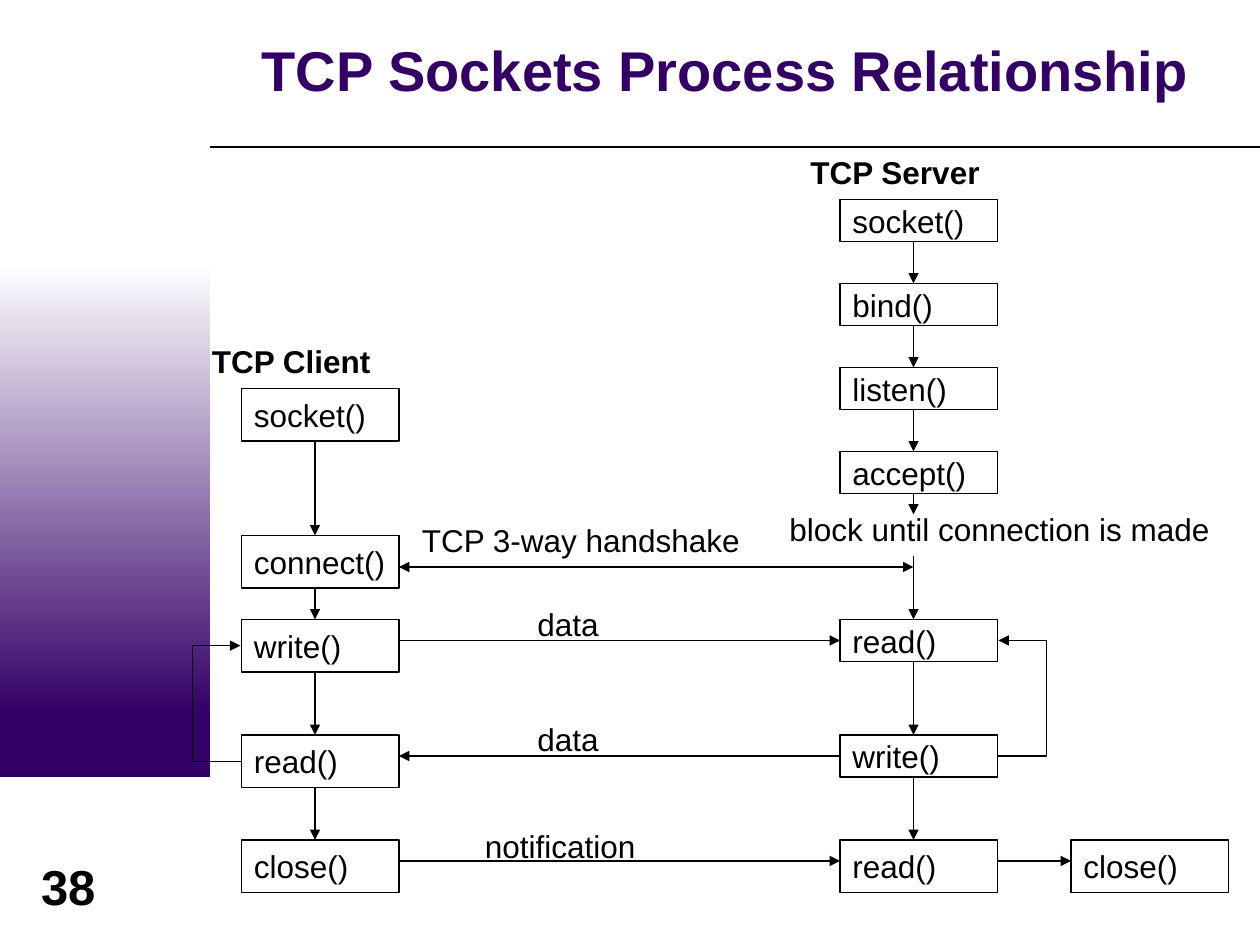
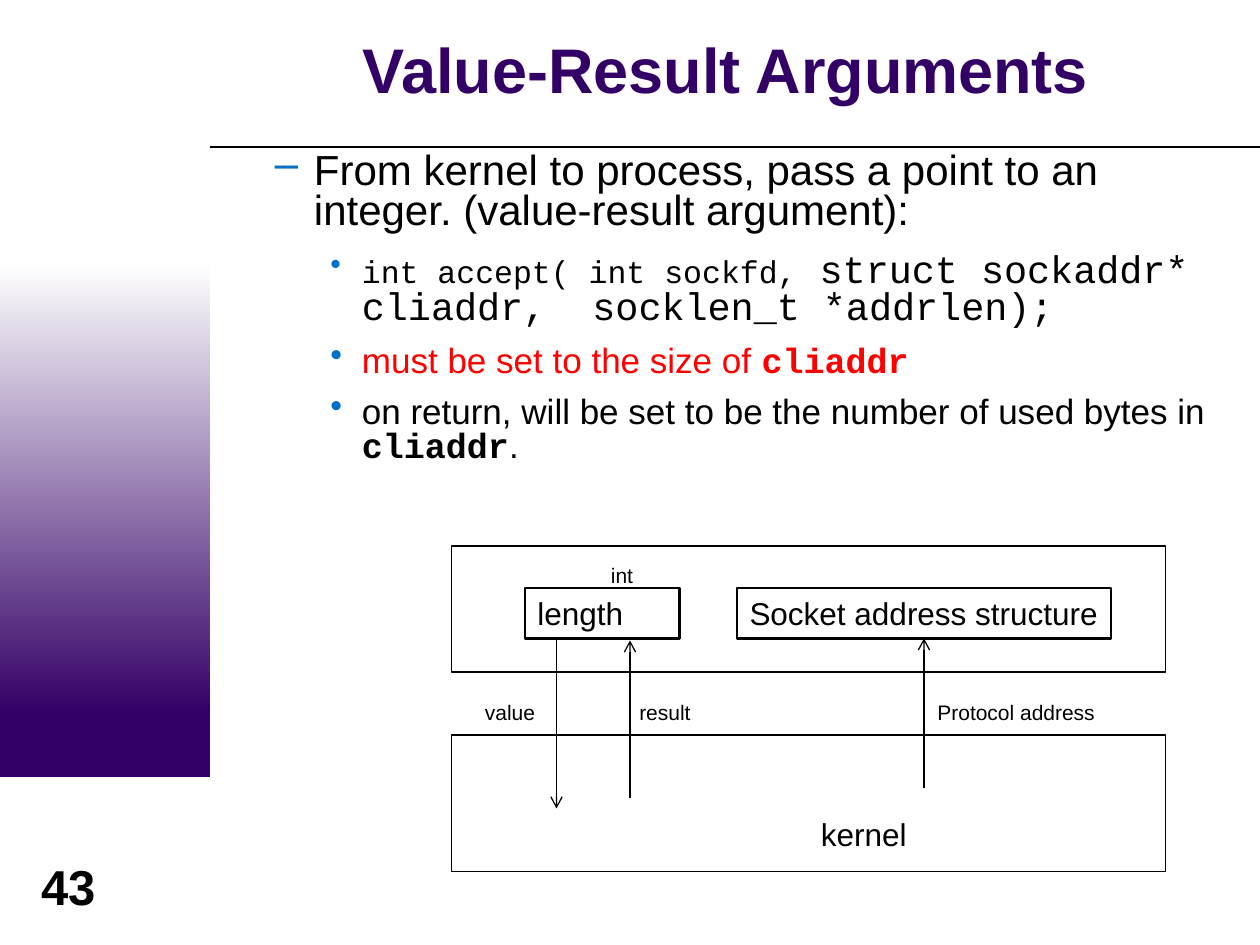
from lxml import etree
from pptx import Presentation
from pptx.dml.color import RGBColor
from pptx.enum.shapes import MSO_CONNECTOR, MSO_SHAPE
from pptx.enum.text import MSO_ANCHOR, PP_ALIGN
from pptx.oxml.ns import qn
from pptx.util import Inches, Pt

PURPLE = RGBColor(0x33, 0x00, 0x66)
BLUE = RGBColor(0x00, 0x70, 0xC8)
RED = RGBColor(0xFF, 0x00, 0x00)
BLACK = RGBColor(0x00, 0x00, 0x00)
WHITE = RGBColor(0xFF, 0xFF, 0xFF)
SANS, MONO = "Arial", "Courier New"
RECTANGLE = MSO_SHAPE.RECTANGLE
STRAIGHT, ELBOW = MSO_CONNECTOR.STRAIGHT, MSO_CONNECTOR.ELBOW
MIDDLE, TOP = MSO_ANCHOR.MIDDLE, MSO_ANCHOR.TOP
CENTER, LEFT = PP_ALIGN.CENTER, PP_ALIGN.LEFT
LEFT_SIDE, BOTTOM_SIDE = 1, 2

# The slide is a grid of 120 columns by 90 rows, twelve to the inch.
COLUMNS, ROWS = 120, 90
BAND_WIDTH = 20
TEXT_HEIGHT = 4.8
BOX_WIDTH = 15
CLIENT_LEFT, SERVER_LEFT = 23, 80
CLIENT_FLOW, SERVER_FLOW = 30, 87
LOOP_REACH = 4.7


def grid(*cells):
    return [Inches(cell / 12) for cell in cells]


def style_font(font, size, color=BLACK, bold=False, name=SANS):
    font.name, font.size, font.bold = name, Pt(size), bold
    font.color.rgb = color


def write_line(shape, text, size, bold=False, align=LEFT, anchor=TOP, wrap=False):
    frame = shape.text_frame
    frame.word_wrap, frame.vertical_anchor = wrap, anchor
    paragraph = frame.paragraphs[0]
    paragraph.text, paragraph.alignment = text, align
    style_font(paragraph.font, size, bold=bold)


def add_label(slide, text, left, top, width, size=18, height=TEXT_HEIGHT, **style):
    label = slide.shapes.add_textbox(*grid(left, top, width, height))
    write_line(label, text, size, **style)


def add_box(slide, left, top, width, height, text="", weight=0.75):
    box = slide.shapes.add_shape(RECTANGLE, *grid(left, top, width, height))
    box.shadow.inherit = False
    box.fill.background()
    box.line.color.rgb, box.line.width = BLACK, Pt(weight)
    if text:
        write_line(box, text, 18, anchor=MIDDLE)
    return box


def add_line(slide, start, end, head=None, tail=None, kind=STRAIGHT):
    """Draw a black line; head and tail name the arrowheads at start and end."""
    line = slide.shapes.add_connector(kind, *grid(*start, *end))
    line.line.color.rgb, line.line.width = BLACK, Pt(0.75)
    outline = line.line._get_or_add_ln()
    for tag, arrow in (("a:headEnd", head), ("a:tailEnd", tail)):
        if arrow:
            etree.SubElement(outline, qn(tag), type=arrow)
    etree.SubElement(line._element.spPr, qn("a:effectLst"))
    return line


def add_flow(slide, start, end, head=None):
    return add_line(slide, start, end, head, "triangle")


def add_loop(slide, column, low, high, direction):
    """Run from low back up to high, bulging left (-1) or right (1)."""
    span = 0.1
    loop = add_line(slide, (column, low), (column + direction * span, high),
                    tail="triangle", kind=ELBOW)
    guides = loop._element.spPr.find(qn("a:prstGeom")).get_or_add_avLst()
    etree.SubElement(guides, qn("a:gd"), name="adj1",
                     fmla=f"val {round(LOOP_REACH / span * 100000)}")


def add_band(slide, top, height):
    band = slide.shapes.add_shape(RECTANGLE, *grid(0, top, BAND_WIDTH, height))
    band.shadow.inherit = False
    band.line.fill.background()
    return band


def add_page(deck, title, number, title_size):
    slide = deck.slides.add_slide(deck.slide_layouts[5])
    base = add_band(slide, 66, 8).fill
    base.solid()
    base.fore_color.rgb = PURPLE
    fade = add_band(slide, 25, 43).fill
    fade.gradient()
    fade.gradient_angle = 270
    for stop, color, place in zip(fade.gradient_stops, (WHITE, PURPLE), (0, 1)):
        stop.color.rgb, stop.position = color, place
    add_line(slide, (BAND_WIDTH, 14), (COLUMNS, 14))
    add_label(slide, number, 2, 81, 9, 28, 6.8, bold=True, align=CENTER, wrap=True)

    heading = slide.shapes.title
    heading.left, heading.top, heading.width, heading.height = grid(21.6, 1.3, 95, 11.5)
    frame = heading.text_frame
    frame.margin_top = frame.margin_bottom = 0
    frame.vertical_anchor, frame.word_wrap = MIDDLE, True
    paragraph = frame.paragraphs[0]
    paragraph.text, paragraph.alignment, paragraph.line_spacing = title, CENTER, 0.85
    style_font(paragraph.font, title_size, PURPLE, True)
    return slide


def add_bullet(paragraph, runs, mark, indent, hanging, before, after):
    """Fill a bulleted paragraph; each run is text followed by its font style."""
    paragraph.line_spacing = 0.8
    paragraph.space_before, paragraph.space_after = Pt(before), Pt(after)
    properties = paragraph._p.get_or_add_pPr()
    properties.set("marL", str(Inches(indent)))
    properties.set("indent", str(-Inches(hanging)))
    bullet_color = etree.SubElement(properties, qn("a:buClr"))
    etree.SubElement(bullet_color, qn("a:srgbClr"), val=str(BLUE))
    etree.SubElement(properties, qn("a:buChar"), char=mark)
    for text, *style in runs:
        run = paragraph.add_run()
        run.text = text
        style_font(run.font, *style)


def build_process_slide(deck):
    slide = add_page(deck, "TCP Sockets Process Relationship", "38", 32)

    for call, top in (("socket()", 37), ("connect()", 51), ("write()", 59),
                      ("read()", 70), ("close()", 80)):
        add_box(slide, CLIENT_LEFT, top, BOX_WIDTH, 5, call)
    for step, call in enumerate(("socket()", "bind()", "listen()", "accept()")):
        add_box(slide, SERVER_LEFT, 19 + 8 * step, BOX_WIDTH, 4, call)
    request = add_box(slide, SERVER_LEFT, 59, BOX_WIDTH, 4, "read()")
    reply = add_box(slide, SERVER_LEFT, 70, BOX_WIDTH, 4, "write()")
    for left, call in ((SERVER_LEFT, "read()"), (102, "close()")):
        add_box(slide, left, 80, BOX_WIDTH, 5, call)

    for column, spans in (
        (CLIENT_FLOW, ((42, 51), (56, 59), (64, 70), (75, 80))),
        (SERVER_FLOW, ((23, 27), (31, 35), (39, 43), (47, 49),
                       (53, 59), (63, 70), (74, 80))),
    ):
        for top, bottom in spans:
            add_flow(slide, (column, top), (column, bottom))

    client_edge, server_edge = CLIENT_LEFT + BOX_WIDTH, SERVER_LEFT + BOX_WIDTH
    add_flow(slide, (client_edge, 54), (SERVER_FLOW, 54), head="triangle")
    add_flow(slide, (client_edge, 61), (SERVER_LEFT, 61)).end_connect(request, LEFT_SIDE)
    add_flow(slide, (SERVER_LEFT, 72), (client_edge, 72)).begin_connect(reply, LEFT_SIDE)
    add_flow(slide, (client_edge, 82), (SERVER_LEFT, 82))
    add_flow(slide, (server_edge, 82), (102, 82))
    add_loop(slide, CLIENT_LEFT, 72.5, 61.5, -1)
    add_loop(slide, server_edge, 72, 61, 1)

    for text, left, top, width in (("TCP Client", 19, 32, 23), ("TCP Server", 76, 14, 24)):
        add_label(slide, text, left, top, width, bold=True, wrap=True)
    for text, left, top, width in (
        ("block until connection is made", 74, 48, 46),
        ("TCP 3-way handshake", 39, 49, 36),
        ("data", 50, 57, 17),
        ("data", 50, 68, 17),
        ("notification", 45, 78.2, 29),
    ):
        add_label(slide, text, left, top, width, wrap=True)


def build_arguments_slide(deck):
    slide = add_page(deck, "Value-Result Arguments", "43", 36)

    body = slide.shapes.add_textbox(*grid(19, 14, 99, 34)).text_frame
    body.word_wrap = True
    detail = ("•", 1.19, 0.25)
    bullets = (
        ([("From kernel to process, pass a point to an integer. "
           "(value-result argument):", 24)], "–", 0.81, 0.31, 0, 7.5),
        ([("int accept( int sockfd,", 18, BLACK, False, MONO),
          (" struct sockaddr* cliaddr,  socklen_t *addrlen);", 22, BLACK, False, MONO)],
         *detail, 4.1, 6.9),
        ([("must be set to the size of ", 20, RED),
          ("cliaddr", 20, RED, True, MONO)], *detail, 3.7, 6.2),
        ([("on return, will be set to be the number of used bytes in ", 20),
          ("cliaddr", 20, BLACK, True, MONO), (".", 20)], *detail, 3.7, 6.2),
    )
    for index, bullet in enumerate(bullets):
        paragraph = body.add_paragraph() if index else body.paragraphs[0]
        add_bullet(paragraph, *bullet)

    for top, height in ((52, 12), (70, 13)):
        add_box(slide, 43, top, 68, height)
    add_box(slide, 50, 56, 14.7, TEXT_HEIGHT, "length", 1.5)
    structure = add_box(slide, 70.2, 56, 35.6, TEXT_HEIGHT, "Socket address structure", 1.5)
    add_label(slide, "kernel", 77, 77, 11, wrap=True)
    for text, left, top, width in (("int", 57, 53, 6), ("value", 45, 66, 8),
                                   ("result", 59.7, 66, 8),
                                   ("Protocol address", 88.1, 66, 18)):
        add_label(slide, text, left, top, width, 12, 3.6, wrap=True)

    add_line(slide, (53, 61), (53, 77), tail="arrow")
    add_line(slide, (60, 76), (60, 61), tail="arrow")
    address = add_line(slide, (88, 75), (88, 60.8), tail="arrow")
    address.end_connect(structure, BOTTOM_SIDE)


def main():
    deck = Presentation()
    deck.slide_width, deck.slide_height = grid(COLUMNS, ROWS)
    build_process_slide(deck)
    build_arguments_slide(deck)
    deck.save("out.pptx")


if __name__ == "__main__":
    main()
